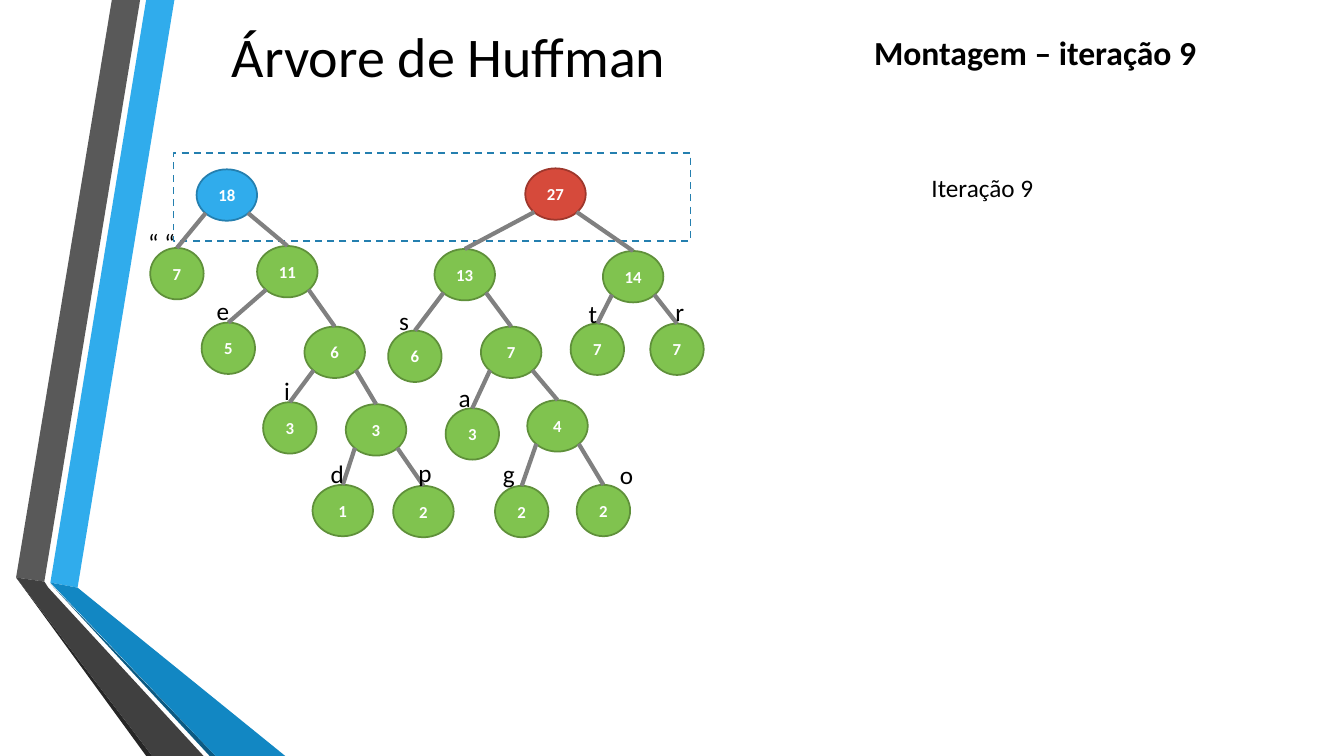
from pptx import Presentation
from pptx.dml.color import RGBColor
from pptx.enum.dml import MSO_LINE
from pptx.enum.shapes import MSO_CONNECTOR, MSO_SHAPE
from pptx.enum.text import MSO_ANCHOR, PP_ALIGN
from pptx.oxml.ns import qn
from pptx.util import Inches, Pt
from lxml.etree import SubElement

BLACK = RGBColor(0x00, 0x00, 0x00)
WHITE = RGBColor(0xFF, 0xFF, 0xFF)
GRAY = RGBColor(0x80, 0x80, 0x80)
DARK_GRAY = RGBColor(0x59, 0x59, 0x59)
CHARCOAL = RGBColor(0x40, 0x40, 0x40)
NEAR_BLACK = RGBColor(0x26, 0x26, 0x26)
BLUE = RGBColor(0x30, 0xAC, 0xEC)
BLUE_LINE = RGBColor(0x24, 0x7F, 0xAF)
DEEP_BLUE = RGBColor(0x12, 0x87, 0xC3)
NAVY = RGBColor(0x0C, 0x5A, 0x82)
GREEN = RGBColor(0x80, 0xC3, 0x4F)
GREEN_LINE = RGBColor(0x5F, 0x90, 0x3A)
RED = RGBColor(0xD6, 0x4A, 0x3B)
RED_LINE = RGBColor(0x9E, 0x37, 0x2C)

FONT = "Calibri"
NODE_HEIGHT = 0.51
LEAF_WIDTH = 0.53
BRANCH_WIDTH = 0.6
CORNER = 0.15

RIBBONS = [
    (BLUE, [(0.5, 5.78), (0.77, 5.83), (1.73, 0), (1.45, 0)]),
    (DARK_GRAY, [(1.39, 0), (1.11, 0), (0.16, 5.73), (0.44, 5.77)]),
    (NEAR_BLACK, [(0.16, 5.73), (1.45, 7.5), (1.51, 7.5)]),
    (NAVY, [(0.5, 5.79), (2.08, 7.5), (2.14, 7.5)]),
    (DEEP_BLUE, [(0.5, 5.78), (2.14, 7.5), (2.83, 7.5), (0.77, 5.83)]),
    (CHARCOAL, [(2.02, 7.5), (0.48, 5.83), (0.44, 5.77), (0.16, 5.73), (1.51, 7.5)]),
]

ROOT_COLORS = {"18": (BLUE, BLUE_LINE), "27": (RED, RED_LINE)}

NODES = {
    "18": ("18", 1.95, 1.68, BRANCH_WIDTH),
    "27": ("27", 5.21, 1.67, BRANCH_WIDTH),
    "space": ("7", 1.49, 2.46, LEAF_WIDTH),
    "11": ("11", 2.55, 2.44, BRANCH_WIDTH),
    "13": ("13", 4.31, 2.47, BRANCH_WIDTH),
    "14": ("14", 5.98, 2.49, BRANCH_WIDTH),
    "e": ("5", 2, 3.2, LEAF_WIDTH),
    "idp": ("6", 3.02, 3.24, BRANCH_WIDTH),
    "s": ("6", 3.85, 3.28, LEAF_WIDTH),
    "ago": ("7", 4.77, 3.24, BRANCH_WIDTH),
    "t": ("7", 5.66, 3.21, LEAF_WIDTH),
    "r": ("7", 6.45, 3.21, LEAF_WIDTH),
    "i": ("3", 2.61, 3.99, LEAF_WIDTH),
    "dp": ("3", 3.43, 4.01, BRANCH_WIDTH),
    "a": ("3", 4.42, 4.05, LEAF_WIDTH),
    "go": ("4", 5.23, 3.97, BRANCH_WIDTH),
    "d": ("1", 3.1, 4.81, BRANCH_WIDTH),
    "p": ("2", 3.9, 4.82, BRANCH_WIDTH),
    "g": ("2", 4.91, 4.82, LEAF_WIDTH),
    "o": ("2", 5.72, 4.81, LEAF_WIDTH),
}

CHILDREN = {
    "18": ("space", "11"),
    "27": ("13", "14"),
    "11": ("e", "idp"),
    "13": ("s", "ago"),
    "14": ("t", "r"),
    "idp": ("i", "dp"),
    "ago": ("a", "go"),
    "dp": ("d", "p"),
    "go": ("g", "o"),
}

LABELS = [
    ("“ “", 1.37, 2.21, 0.55),
    ("t", 5.74, 2.91, 0.29),
    ("r", 6.6, 2.89, 0.29),
    ("s", 3.86, 2.98, 0.3),
    ("e", 2.05, 2.88, 0.33),
    ("i", 2.72, 3.67, 0.26),
    ("a", 4.45, 3.74, 0.33),
    ("g", 4.89, 4.5, 0.34),
    ("o", 6.05, 4.51, 0.34),
    ("p", 4.05, 4.49, 0.38),
    ("d", 3.18, 4.5, 0.38),
]


def write(tf, text, size, color=BLACK, bold=False, align=PP_ALIGN.LEFT, anchor=MSO_ANCHOR.TOP):
    tf.word_wrap = True
    tf.vertical_anchor = anchor
    p = tf.paragraphs[0]
    p.alignment = align
    r = p.add_run()
    r.text = text
    for name, value in {"name": FONT, "size": Pt(size), "bold": bold}.items():
        setattr(r.font, name, value)
    r.font.color.rgb = color


def add_text(s, text, left, top, width, height, size, **style):
    box = s.shapes.add_textbox(Inches(left), Inches(top), Inches(width), Inches(height))
    write(box.text_frame, text, size, **style)


def add_ribbon(s, color, points):
    (x, y), *rest = [(Inches(x), Inches(y)) for x, y in points]
    builder = s.shapes.build_freeform(x, y)
    builder.add_line_segments(rest, close=True)
    sp = builder.convert_to_shape()
    sp.shadow.inherit = False
    sp.fill.solid()
    sp.fill.fore_color.rgb = color
    sp.line.fill.background()


def add_node(s, value, left, top, width, fill, line):
    sp = s.shapes.add_shape(
        MSO_SHAPE.OVAL, Inches(left), Inches(top), Inches(width), Inches(NODE_HEIGHT))
    sp.shadow.inherit = False
    sp.fill.solid()
    sp.fill.fore_color.rgb = fill
    sp.line.color.rgb = line
    sp.line.width = Pt(1.25)
    tf = sp.text_frame
    for side in ("left", "top", "right", "bottom"):
        setattr(tf, f"margin_{side}", 0)
    write(tf, value, 12, WHITE, True, PP_ALIGN.CENTER, MSO_ANCHOR.MIDDLE)
    return sp


def add_branch(s, parent, child, side):
    x = parent.left + int(parent.width * side)
    y = parent.top + int(parent.height * (1 - CORNER))
    line = s.shapes.add_connector(MSO_CONNECTOR.STRAIGHT, x, y, x, y)
    line.end_connect(child, 0)
    line.line.color.rgb = GRAY
    line.line.width = Pt(3)
    SubElement(line._element.spPr, qn("a:effectLst"))


def add_roots_frame(s):
    sp = s.shapes.add_shape(
        MSO_SHAPE.RECTANGLE, Inches(1.72), Inches(1.52), Inches(5.13), Inches(0.87))
    sp.shadow.inherit = False
    sp.fill.background()
    sp.line.color.rgb = BLUE_LINE
    sp.line.width = Pt(1.25)
    sp.line.dash_style = MSO_LINE.DASH


def main():
    prs = Presentation()
    prs.slide_width = Inches(13.33)
    prs.slide_height = Inches(7.5)
    s = prs.slides.add_slide(prs.slide_layouts[6])

    for color, points in RIBBONS:
        add_ribbon(s, color, points)
    add_text(s, "Montagem – iteração 9", 8.57, 0.27, 3.79, 2.93, 24, bold=True)
    add_text(s, "Árvore de Huffman", -1.03, -0.09, 10.96, 1.27, 40,
             align=PP_ALIGN.CENTER, anchor=MSO_ANCHOR.MIDDLE)
    add_text(s, "Iteração 9", 9.14, 1.66, 3.62, 0.4, 18)

    add_roots_frame(s)
    nodes = {key: add_node(s, *node, *ROOT_COLORS.get(key, (GREEN, GREEN_LINE)))
             for key, node in NODES.items()}
    for parent, children in CHILDREN.items():
        for child, side in zip(children, (CORNER, 1 - CORNER)):
            add_branch(s, nodes[parent], nodes[child], side)
    for text, left, top, width in LABELS:
        add_text(s, text, left, top, width, 0.4, 18)

    prs.save("out.pptx")


if __name__ == "__main__":
    main()
